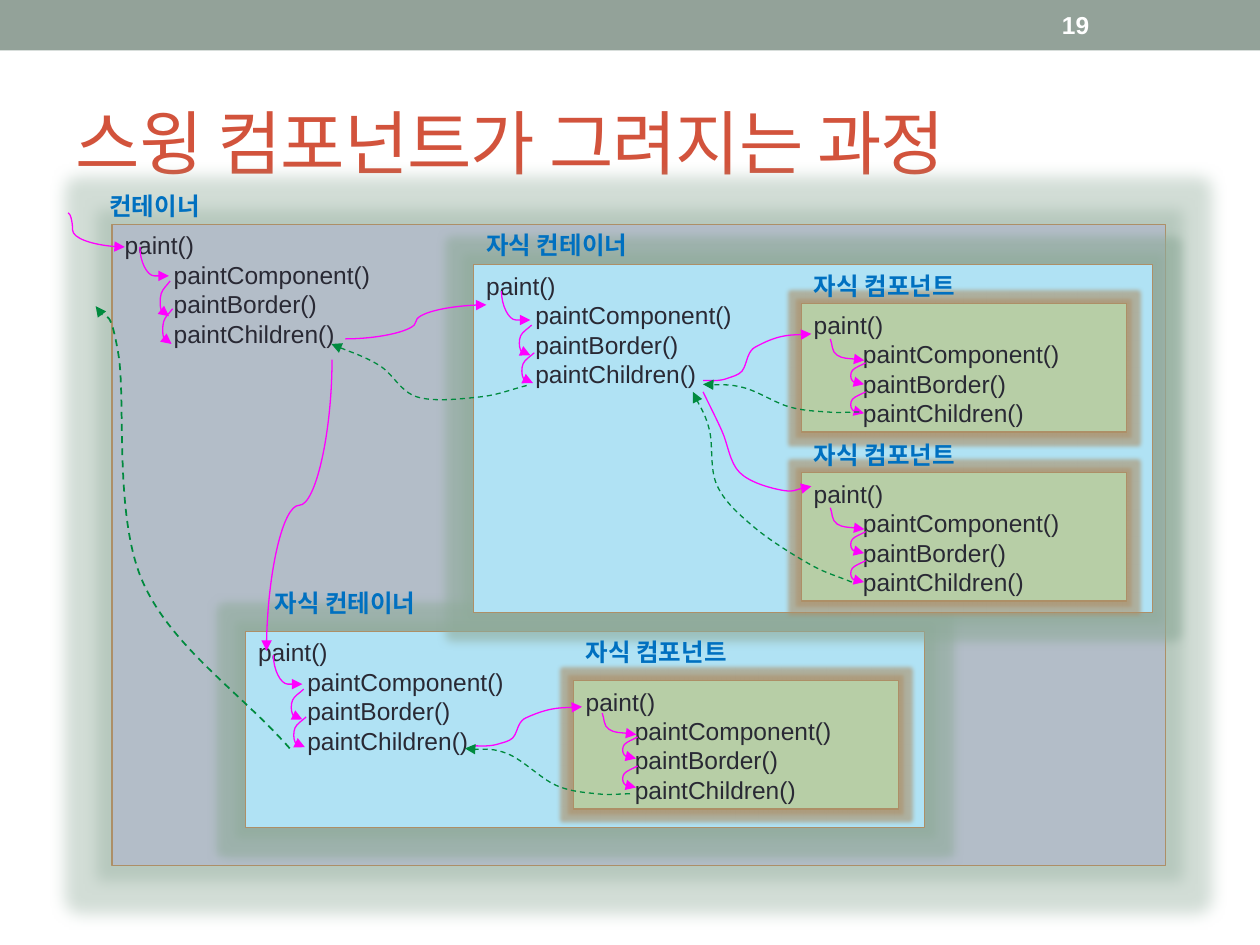
from dataclasses import dataclass

from pptx import Presentation
from pptx.dml.color import RGBColor
from pptx.enum import dml, shapes, text
from pptx.oxml.xmlchemy import OxmlElement
from pptx.util import Pt

PX = 9144


@dataclass(frozen=True)
class Theme:
    font: str = "Arial"
    head: int = 40
    body: int = 14
    lead: float = 16.8
    thin: float = 0.75
    bar: str = "93A299"
    title: str = "D2533C"
    ink: str = "292934"
    label: str = "0070C0"
    white: str = "FFFFFF"
    edge: str = "AD8F67"
    call: str = "FF00FF"
    back: str = "008A3E"


@dataclass(frozen=True)
class Level:
    fill: str
    halo: str
    reach: int
    alpha: int


T = Theme()
ROOT = Level("B3BDC8", "8FAB9A", 18, 40)
CHILD = Level("B0E2F4", "8FAB9A", 11, 60)
LEAF = Level("B7CEA6", T.edge, 5, 60)
STEPS = ["paint()", "paintComponent()", "paintBorder()", "paintChildren()"]
INDENT = 39
RISE = [(0, 0), (0.13, 0), (0.23, 0.05), (0.36, 0.2), (0.43, 0.59), (0.51, 0.75), (0.72, 0.94), (1, 1)]
FALL = [(0, 0), (0.2, 0), (0.45, 0.19), (0.74, 0.88), (1, 1)]
NOTCH = [(0, 0), (0.88, 0.36), (0.88, 0.83), (0.1, 1)]
ENTRY = [(0, 0), (0.2, 0.76), (1, 1)]


def emu(*vals):
    return [round(v * PX) for v in vals]


def rgb(code):
    return RGBColor.from_string(code)


def node(tag, **attrs):
    item = OxmlElement(tag)
    for key, val in attrs.items():
        item.set(key, str(val))
    return item


def style(frame, size, color, bold=False):
    for para in frame.paragraphs:
        font = para.runs[0].font
        font.name = T.font
        font.size = Pt(size)
        font.bold = bold
        font.color.rgb = rgb(color)


def rect(slide, box, fill):
    shape = slide.shapes.add_shape(shapes.MSO_SHAPE.RECTANGLE, *emu(*box))
    shape.shadow.inherit = False
    shape.fill.solid()
    shape.fill.fore_color.rgb = rgb(fill)
    return shape


def header(slide, box):
    x, y, w, h = box
    rect(slide, box, T.bar).line.fill.background()
    num = slide.shapes.add_textbox(*emu(x + 833, y + 2, 117, h - 4))
    frame = num.text_frame
    frame.word_wrap = True
    frame.vertical_anchor = text.MSO_ANCHOR.MIDDLE
    frame.text = "19"
    style(frame, T.body, T.white, True)


def title(slide, box):
    head = slide.shapes.title
    head.left, head.top, head.width, head.height = emu(*box)
    frame = head.text_frame
    frame.text = "스윙 컴포넌트가 그려지는 과정"
    frame.vertical_anchor = text.MSO_ANCHOR.MIDDLE
    frame.paragraphs[0].alignment = text.PP_ALIGN.LEFT
    style(frame, T.head, T.title)
    head.element.xpath(".//a:rPr")[0].set("spc", "-50")


def glow(shape, level):
    halo = node("a:glow", rad=Pt(level.reach))
    tint = node("a:srgbClr", val=level.halo)
    tint.append(node("a:alpha", val=level.alpha * 1000))
    halo.append(tint)
    shape.element.xpath("./p:spPr/a:effectLst")[0].append(halo)


def panel(slide, box, level):
    shape = rect(slide, box, level.fill)
    shape.line.color.rgb = rgb(T.edge)
    shape.line.width = Pt(T.thin)
    glow(shape, level)
    frame = shape.text_frame
    frame.text = "\n".join(STEPS)
    frame.vertical_anchor = text.MSO_ANCHOR.TOP
    for para in frame.paragraphs:
        para.alignment = text.PP_ALIGN.LEFT
        para.line_spacing = Pt(T.lead)
    for prop in shape.element.xpath(".//a:pPr")[1:]:
        prop.set("marL", str(INDENT * PX))
    style(frame, T.body, T.ink)


def label(slide, spot, width, words):
    note = slide.shapes.add_textbox(*emu(*spot, width, 34))
    frame = note.text_frame
    frame.word_wrap = False
    frame.auto_size = text.MSO_AUTO_SIZE.SHAPE_TO_FIT_TEXT
    frame.text = words
    style(frame, T.body, T.label, True)


def stroke(line, color, width):
    line.line.color.rgb = rgb(color)
    line.line.width = Pt(width)
    if color == T.back:
        line.line.dash_style = dml.MSO_LINE.DASH
    line.element.xpath("./p:spPr/a:ln")[0].append(node("a:tailEnd", type="triangle"))


def mirror(pivot, point):
    return 2 * pivot[0] - point[0], 2 * pivot[1] - point[1]


def shift(knot, ahead, behind, sign):
    return [k + sign * (a - b) / 6 for k, a, b in zip(knot, ahead, behind)]


def spline(knots):
    ring = [mirror(knots[0], knots[1]), *knots, mirror(knots[-1], knots[-2])]
    for prev, start, end, after in zip(ring, ring[1:], ring[2:], ring[3:]):
        yield shift(start, end, prev, 1)
        yield shift(end, after, start, -1)
        yield end


def curve(slide, knots, color=T.call, width=T.thin):
    form = slide.shapes.build_freeform(*emu(*knots[0]))
    form.add_line_segments([emu(*point) for point in spline(knots)], close=False)
    line = form.convert_to_shape()
    line.shadow.inherit = False
    line.fill.background()
    stroke(line, color, width)
    parts = line.element.xpath(".//a:lnTo")
    for trio in zip(parts[::3], parts[1::3], parts[2::3]):
        bend = node("a:cubicBezTo")
        trio[0].addprevious(bend)
        for part in trio:
            bend.append(part[0])
            part.getparent().remove(part)


def fit(form, start, size):
    return [(start[0] + fx * size[0], start[1] + fy * size[1]) for fx, fy in form]


def link(slide, start, end, bend=0.5, turn=0):
    line = slide.shapes.add_connector(shapes.MSO_CONNECTOR.CURVE, *emu(*start, *end))
    stroke(line, T.call, T.thin)
    prop = line.element.xpath("./p:spPr")[0]
    prop.append(node("a:effectLst"))
    prop.xpath("./a:xfrm")[0].set("rot", str(turn * 60000))
    guide = node("a:gd", name="adj1", fmla=f"val {round(bend * 100000)}")
    prop.xpath(".//a:avLst")[0].append(guide)


def outer_calls(slide, spot, size, drop=0):
    x, y = spot[0], spot[1] + drop
    link(slide, (x + 45, y + 18), (x + 22, y + 41), 1, 270)
    for dx, dy in ((46, 45), (48, 67)):
        curve(slide, fit(NOTCH, (x + dx, y + dy), size))


def leaf_calls(slide, spot, drop=0):
    x, y = spot[0], spot[1] + drop
    curve(slide, fit(ENTRY, (x + 23, y + 28), (27, 17)))
    for dy in (47, 70):
        curve(slide, fit(NOTCH, (x + 51, y + dy), (-12, 17)))


def flows(slide):
    link(slide, (54, 169), (99, 196), 0.08)
    link(slide, (274, 269), (386, 242))
    link(slide, (122, 375), (353, 427), 0.5, 90)
    for start, size in (((558, 302), (86, -37)), ((376, 592), (86, -31))):
        curve(slide, fit(RISE, start, size))
    for start, size in (((682, 327), (-124, -22)), ((500, 630), (-131, -36))):
        curve(slide, fit(FALL, start, size), T.back)
    curve(slide, [(558, 311), (573, 342), (587, 375), (620, 389), (644, 386)])
    curve(slide, [(676, 462), (643, 448), (598, 418), (569, 385), (563, 341), (550, 311)], T.back)
    curve(slide, [(418, 306), (381, 315), (331, 315), (301, 290), (263, 273)], T.back)
    curve(slide, [(230, 594), (113, 461), (94, 281), (76, 243)], T.back, 1)


def main():
    deck = Presentation()
    deck.slide_width, deck.slide_height = emu(1000, 750)
    slide = deck.slides.add_slide(deck.slide_layouts[5])
    header(slide, (0, 0, 1000, 40))
    title(slide, (50, 58, 900, 108))

    root, low, high = (89, 178), (195, 501), (376, 210)
    leaves = {(636, 241): 0, (636, 375): 0, (455, 540): -2}
    panel(slide, (*root, 836, 509), ROOT)
    panel(slide, (*low, 539, 156), CHILD)
    panel(slide, (*high, 539, 276), CHILD)
    for spot in leaves:
        panel(slide, (*spot, 258, 102), LEAF)

    outer_calls(slide, root, (-8, 28))
    outer_calls(slide, low, (-10, 24), 1)
    outer_calls(slide, high, (-10, 24), 3)
    for spot, drop in leaves.items():
        leaf_calls(slide, spot, drop)
    flows(slide)

    label(slide, (77, 147), 99, "컨테이너")
    for spot in ((376, 178), (208, 462)):
        label(slide, spot, 152, "자식 컨테이너")
    for x, y in leaves:
        label(slide, (x, y - 31 if x > 500 else y - 39), 145, "자식 컴포넌트")
    deck.save("out.pptx")


if __name__ == "__main__":
    main()
